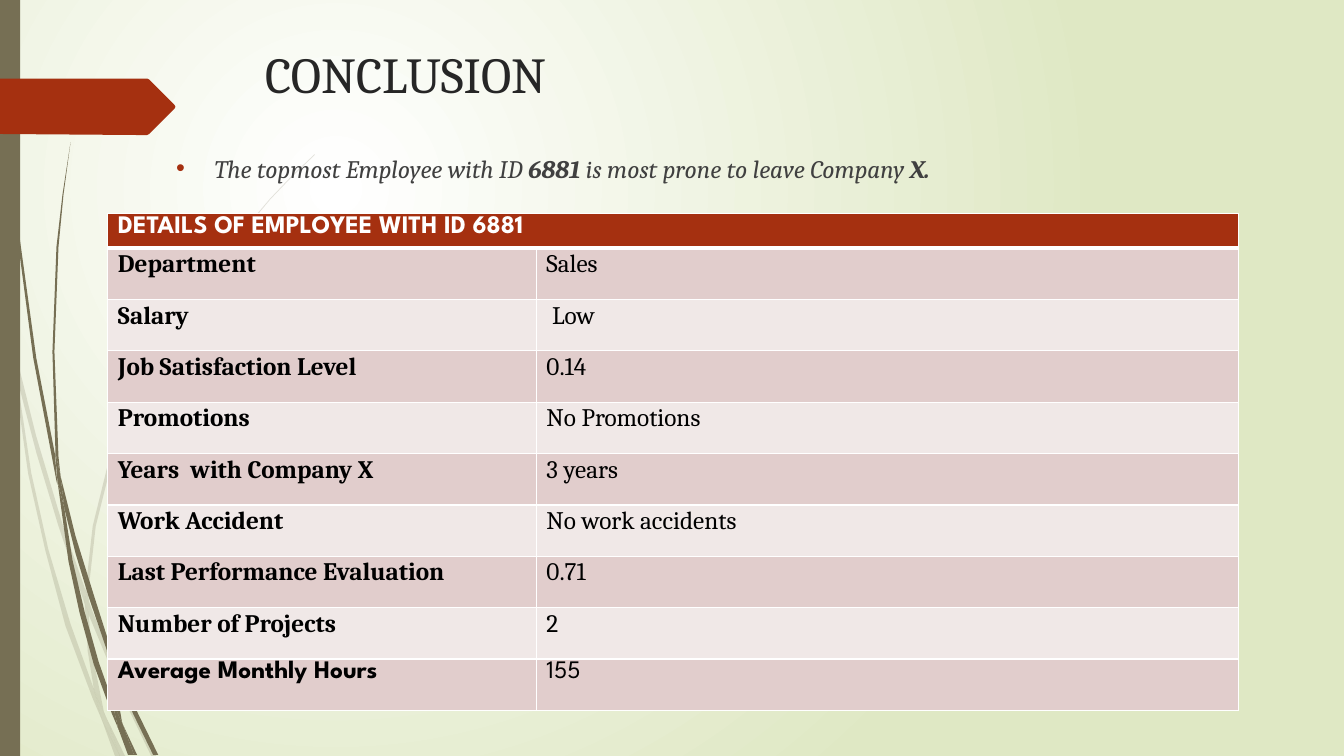
import pptx
import pptx.dml.color
import pptx.enum.shapes
import pptx.enum.text
import pptx.oxml
import pptx.oxml.ns
import pptx.util
from pptx.util import Inches

RGBColor = pptx.dml.color.RGBColor
OLIVE = RGBColor(0x76, 0x6F, 0x54)
RUST = RGBColor(0xA5, 0x30, 0x10)
WHITE = RGBColor(0xFF, 0xFF, 0xFF)
PALE_GREEN = RGBColor(0xDF, 0xE8, 0xC4)
TITLE_INK = RGBColor(0x26, 0x26, 0x26)
BODY_INK = RGBColor(0x40, 0x40, 0x40)
BLACK = RGBColor(0, 0, 0)
BANDS = (RGBColor(0xE1, 0xCD, 0xCC), RGBColor(0xF0, 0xE8, 0xE7))
SERIF, SANS = "Cambria", "League Spartan"
NAMESPACES = pptx.oxml.ns.nsdecls("a", "p")

# Outlines of the grass blades, in inches
FAINT_BLADES = [
    [(0.11, 3.5), (0.09, 3.22), (0, 2.82), (0, 2.99), (0.1, 3.44)],
    [(0.58, 5.22), (0.84, 5.99), (0.85, 5.86), (0.62, 5.2), (0.36, 4.33), (0.14, 3.45),
     (0.17, 3.76), (0.36, 4.49)],
    [(0.92, 6.07), (0.88, 5.96), (0.88, 6.1), (1.23, 6.94), (1.5, 7.5), (1.55, 7.5),
     (1.27, 6.92)],
    [(1.19, 7.5), (1.24, 7.5), (1.05, 7.11)],
    [(0.93, 6.83), (0.7, 6.19), (0.48, 5.45), (0.31, 4.69), (0.17, 3.76), (0.11, 3.5),
     (0.28, 4.7), (0.45, 5.46), (0.65, 6.21), (0.92, 6.93), (1.01, 7.14), (0.99, 7.07)],
    [(0.84, 5.99), (0.87, 6.46), (0.93, 6.83), (0.96, 6.92), (1.05, 7.11), (1.03, 7.06),
     (0.91, 6.46), (0.88, 6.1), (0.88, 6.08)],
    [(0.88, 5.84), (0.95, 5.22), (1.1, 4.62), (1.32, 4.04), (1.6, 3.49), (1.93, 2.95),
     (2.29, 2.45), (2.68, 1.98), (2.9, 1.75), (3.12, 1.54), (3.12, 1.53), (2.89, 1.75),
     (2.68, 1.97), (2.28, 2.44), (1.91, 2.94), (1.58, 3.48), (1.29, 4.03), (1.07, 4.61),
     (0.92, 5.22), (0.85, 5.84), (0.85, 5.86), (0.88, 5.96)],
    [(1.01, 7.14), (1.14, 7.5), (1.19, 7.5)],
    [(0.88, 6.08), (0.88, 6.1), (0.88, 5.96), (0.85, 5.86), (0.84, 5.99)],
    [(0.96, 6.92), (0.93, 6.83), (0.99, 7.07), (1.01, 7.14), (1.19, 7.5), (1.05, 7.11)],
]
DARK_BLADES = [
    [(0.07, 1.1), (0.17, 2.33), (0.33, 3.55), (0.56, 4.77), (0.57, 4.81), (0.55, 4.57),
     (0.55, 4.53), (0.36, 3.55), (0.19, 2.32), (0.08, 1.09), (0.05, 0.48), (0.04, 0),
     (0.03, 0), (0.04, 0.48)],
    [(0.88, 5.92), (1.06, 6.45), (1.06, 6.31), (0.93, 5.9), (0.75, 5.32), (0.6, 4.72),
     (0.64, 5.05), (0.75, 5.49)],
    [(1.13, 6.49), (1.1, 6.41), (1.11, 6.56), (1.32, 7.08), (1.52, 7.49), (1.57, 7.49),
     (1.36, 7.06)],
    [(1.1, 6.91), (0.98, 6.57), (0.84, 6.07), (0.72, 5.56), (0.64, 5.05), (0.57, 4.77),
     (0.68, 5.57), (0.79, 6.08), (0.93, 6.59), (1.11, 7.08), (1.17, 7.22), (1.16, 7.17)],
    [(0.6, 4.72), (0.58, 4.53), (0.54, 3.49), (0.58, 2.45), (0.63, 1.93), (0.7, 1.41),
     (0.62, 1.93), (0.56, 2.45), (0.52, 3.49), (0.55, 4.49)],
    [(1.33, 7.49), (1.36, 7.49), (1.22, 7.19)],
    [(0.57, 4.77), (0.64, 5.05), (0.6, 4.72), (0.55, 4.49), (0.55, 4.53)],
    [(1.11, 6.33), (1.15, 5.92), (1.25, 5.52), (1.4, 5.13), (1.58, 4.76), (1.8, 4.4),
     (2.05, 4.06), (2.31, 3.74), (2.45, 3.59), (2.61, 3.44), (2.6, 3.44), (2.45, 3.58),
     (2.31, 3.73), (2.04, 4.05), (1.79, 4.38), (1.56, 4.74), (1.37, 5.12), (1.22, 5.51),
     (1.12, 5.91), (1.06, 6.31), (1.1, 6.41)],
    [(1.17, 7.22), (1.27, 7.49), (1.31, 7.49)],
    [(1.06, 6.45), (1.1, 6.91), (1.16, 7.06), (1.22, 7.19), (1.21, 7.16), (1.11, 6.56),
     (1.09, 6.51)],
    [(1.06, 6.45), (1.09, 6.51), (1.11, 6.56), (1.1, 6.41), (1.06, 6.31)],
    [(1.16, 7.06), (1.1, 6.91), (1.16, 7.17), (1.17, 7.22), (1.3, 7.49), (1.33, 7.49),
     (1.22, 7.19)],
]
ARROW = [(0, 0.78), (1.46, 0.78), (1.48, 0.79), (1.73, 1.04), (1.74, 1.06), (1.73, 1.08),
         (1.48, 1.33), (1.46, 1.34), (1.36, 1.34), (0, 1.33)]

HEADING = "DETAILS OF EMPLOYEE WITH ID 6881"
DETAILS = [
    ("Department", "Sales"),
    ("Salary", " Low"),
    ("Job Satisfaction Level", "0.14"),
    ("Promotions", "No Promotions"),
    ("Years  with Company X", "3 years"),
    ("Work Accident", "No work accidents"),
    ("Last Performance Evaluation", "0.71"),
    ("Number of Projects", "2"),
    ("Average Monthly Hours", "155"),
]


class SlideBuilder:
    def __init__(self, slide):
        self.slide = slide

    def background(self, inner, outer):
        """Radial gradient centred in the upper left quarter."""
        self.slide._element.cSld.insert(0, pptx.oxml.parse_xml(
            f'<p:bg {NAMESPACES}><p:bgPr><a:gradFill rotWithShape="1"><a:gsLst>'
            f'<a:gs pos="0"><a:srgbClr val="{inner}"/></a:gs>'
            f'<a:gs pos="100000"><a:srgbClr val="{outer}"/></a:gs></a:gsLst>'
            '<a:path path="circle"><a:fillToRect l="50000" t="50000" r="100000" b="100000"/>'
            '</a:path></a:gradFill><a:effectLst/></p:bgPr></p:bg>'))

    def paint(self, shape, color, opacity=100):
        shape.shadow.inherit = False
        shape.line.fill.background()
        shape.fill.solid()
        shape.fill.fore_color.rgb = color
        if opacity < 100:
            color_node = next(shape._element.spPr.iter(pptx.oxml.ns.qn("a:srgbClr")))
            color_node.append(pptx.oxml.parse_xml(
                f'<a:alpha {NAMESPACES} val="{opacity * 1000}"/>'))

    def outline(self, points, color, opacity=100):
        points = [(Inches(x), Inches(y)) for x, y in points]
        builder = self.slide.shapes.build_freeform(*points[0])
        builder.add_line_segments(points[1:], close=True)
        self.paint(builder.convert_to_shape(), color, opacity)

    def rectangle(self, left, top, width, height, color):
        kind = pptx.enum.shapes.MSO_SHAPE.RECTANGLE
        self.paint(self.slide.shapes.add_shape(
            kind, Inches(left), Inches(top), Inches(width), Inches(height)), color)

    def style(self, span, color, size=18, font=SERIF, bold=False, italic=False):
        span.font.name, span.font.size = font, pptx.util.Pt(size)
        span.font.bold, span.font.italic = bold, italic
        span.font.color.rgb = color

    def text(self, left, top, width, height, spans, color, size=18, italic=False):
        box = self.slide.shapes.add_textbox(
            Inches(left), Inches(top), Inches(width), Inches(height))
        box.text_frame.word_wrap = True
        para = box.text_frame.paragraphs[0]
        for words, bold in spans:
            span = para.add_run()
            span.text = words
            self.style(span, color, size, bold=bold, italic=italic)
        return para

    def bullet(self, para, color, indent):
        para.line_spacing = 1.5
        para.space_before = pptx.util.Pt(10)
        properties = para._p.get_or_add_pPr()
        properties.set("marL", str(Inches(indent)))
        properties.set("indent", str(-Inches(indent)))
        for node in (f'<a:buClr {NAMESPACES}><a:srgbClr val="{color}"/></a:buClr>',
                     f'<a:buFont {NAMESPACES} typeface="Arial"/>',
                     f'<a:buChar {NAMESPACES} char="•"/>'):
            properties.append(pptx.oxml.parse_xml(node))

    def cell(self, cell, words, fill, color, font, bold, top=1, bottom=1):
        cell.text_frame.text = words
        cell.margin_top = cell.margin_bottom = Inches(0.02)
        for span in cell.text_frame.paragraphs[0].runs:
            self.style(span, color, font=font, bold=bold)
        cell.fill.solid()
        cell.fill.fore_color.rgb = fill
        for index, (side, width) in enumerate(zip("LRTB", (1, 1, top, bottom))):
            cell._tc.get_or_add_tcPr().insert(index, pptx.oxml.parse_xml(
                f'<a:ln{side} {NAMESPACES} w="{pptx.util.Pt(width)}"><a:solidFill>'
                f'<a:srgbClr val="{WHITE}"/></a:solidFill></a:ln{side}>'))

    def details_table(self, left, top, widths, heading, rows):
        table = self.slide.shapes.add_table(
            len(rows) + 1, 2, Inches(left), Inches(top),
            Inches(sum(widths)), Inches(0.3 + 0.51 * len(rows))).table
        for column, width in zip(table.columns, widths):
            column.width = Inches(width)
        for index, row in enumerate(table.rows):
            row.height = Inches(0.51 if index else 0.3)
        table.cell(0, 0).merge(table.cell(0, 1))
        for column, words in enumerate((heading, "")):
            self.cell(table.cell(0, column), words, RUST, WHITE, SANS, True, bottom=3)
        for index, row in enumerate(rows, 1):
            font = SANS if index == len(rows) else SERIF
            for column, words in enumerate(row):
                self.cell(table.cell(index, column), words, BANDS[(index - 1) % 2], BLACK,
                          font, column == 0, top=3 if index == 1 else 1)


deck = pptx.Presentation()
deck.slide_width, deck.slide_height = Inches(13.33), Inches(7.5)
page = SlideBuilder(deck.slides.add_slide(deck.slide_layouts[6]))

# Backdrop: gradient, grass blades, side bar and arrow
page.background(WHITE, PALE_GREEN)
for blades, opacity in ((FAINT_BLADES, 20), (DARK_BLADES, 100)):
    for blade in blades:
        page.outline(blade, OLIVE, opacity)
page.rectangle(0, 0, 0.2, 7.5, OLIVE)
page.outline(ARROW, RUST)

# Title and finding
page.text(2.53, 0.38, 9.75, 0.94, [("CONCLUSION", False)], TITLE_INK, size=36)
finding = page.text(1.65, 1.32, 10.96, 0.7, [
    ("The topmost Employee with ID ", False), ("6881 ", True),
    ("is most prone to leave Company ", False), ("X.", True)], BODY_INK, italic=True)
page.bullet(finding, RUST, 0.38)

# Employee details
page.details_table(1.07, 2.12, (4.25, 6.96), HEADING, DETAILS)

deck.save("out.pptx")
